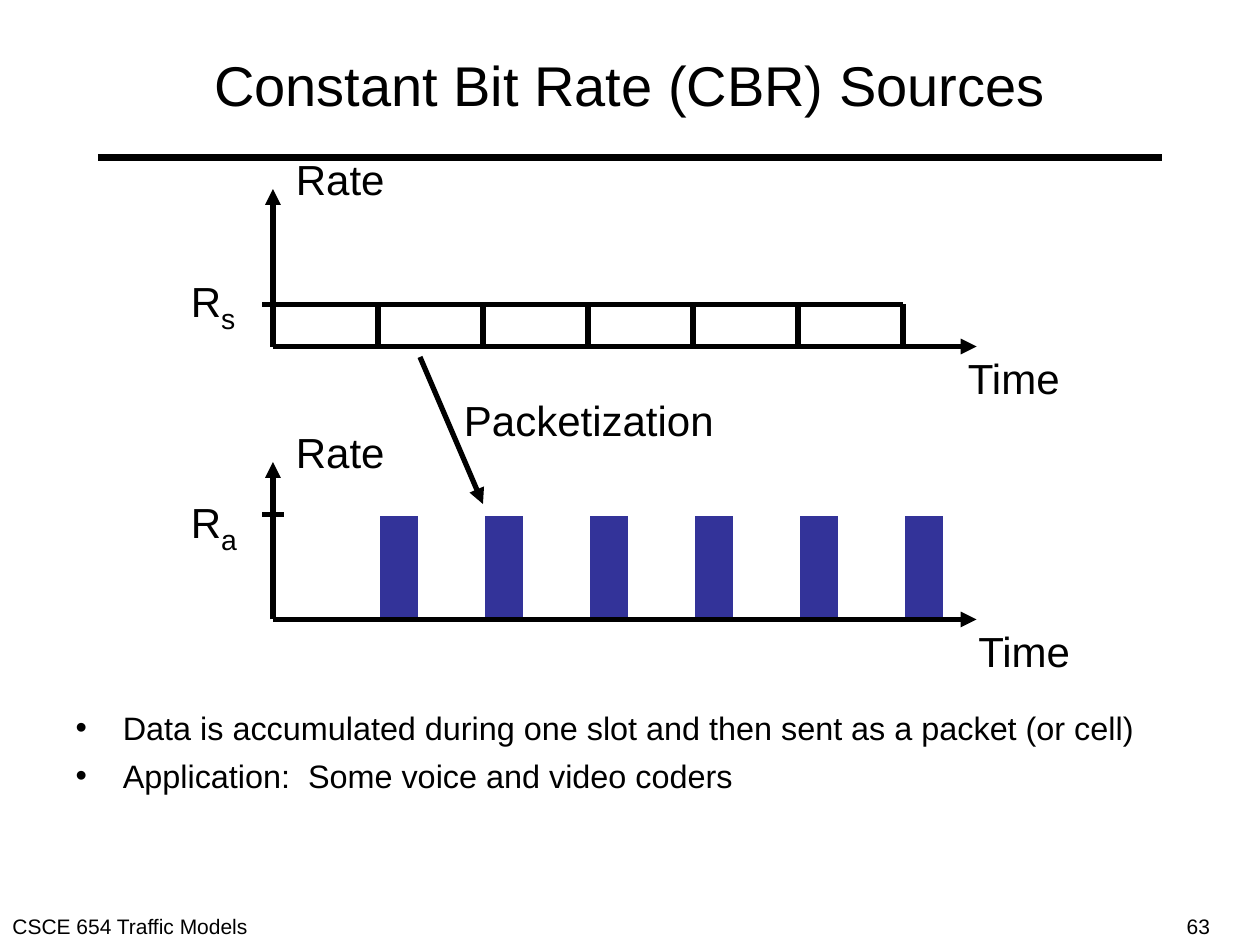
import pptx
import pptx.util
import pptx.dml.color
import pptx.enum.shapes
import pptx.enum.text
import pptx.oxml
import pptx.oxml.ns

Pt = pptx.util.Pt
ENUM = pptx.enum.text
BLACK = "000000"
WHITE = "FFFFFF"
BLUE = "333399"


def color(code):
    return pptx.dml.color.RGBColor.from_string(code)


def apply(item, values):
    for name, value in values.items():
        setattr(item, name, value)


def child(parent, tag, **values):
    node = pptx.oxml.parse_xml(f"<a:{tag} {pptx.oxml.ns.nsdecls('a')}/>")
    for name, value in values.items():
        node.set(name, value)
    parent.append(node)
    return node


class Deck:
    face = "Arial"
    ink = BLACK

    def __init__(self, wide, high):
        self.show = pptx.Presentation()
        apply(self.show, {"slide_width": Pt(wide), "slide_height": Pt(high)})
        self.slide = self.show.slides.add_slide(self.show.slide_layouts[1])
        self.shapes = self.slide.shapes

    def style(self, font, size):
        apply(font, {"name": self.face, "size": Pt(size)})
        font.color.rgb = color(self.ink)

    def place(self, shape, *box):
        names = ("left", "top", "width", "height")
        apply(shape, dict(zip(names, map(Pt, box))))

    def title(self, text, size, *box):
        shape = self.shapes.title
        self.place(shape, *box)
        frame = shape.text_frame
        apply(frame, {"text": text, "word_wrap": True,
                      "auto_size": ENUM.MSO_AUTO_SIZE.NONE,
                      "vertical_anchor": ENUM.MSO_ANCHOR.MIDDLE})
        line = frame.paragraphs[0]
        line.alignment = ENUM.PP_ALIGN.CENTER
        self.style(line.runs[0].font, size)

    def bullets(self, items, size, gap, *box):
        shape = self.slide.placeholders[1]
        self.place(shape, *box)
        frame = shape.text_frame
        apply(frame, {"text": "\n".join(items), "word_wrap": True,
                      "auto_size": ENUM.MSO_AUTO_SIZE.NONE})
        for index, line in enumerate(frame.paragraphs):
            line.space_before = Pt(gap if index else 0)
            props = line._p.get_or_add_pPr()
            props.set("marL", str(Pt(27)))
            props.set("indent", str(-Pt(27)))
            child(props, "buFont", typeface=self.face)
            child(props, "buChar", char="•")
            self.style(line.runs[0].font, size)

    def label(self, text, size, *box, sub=""):
        frame = self.shapes.add_textbox(*map(Pt, box)).text_frame
        frame.word_wrap = True
        line = frame.paragraphs[0]
        run = line.add_run()
        run.text = text
        self.style(run.font, size)
        if sub:
            low = line.add_run()
            low.text = sub
            self.style(low.font, 28)
            low.font._element.set("baseline", "-25000")

    def line(self, *ends, width=3, arrow=False):
        kind = pptx.enum.shapes.MSO_CONNECTOR.STRAIGHT
        item = self.shapes.add_connector(kind, *map(Pt, ends))
        item.line.width = Pt(width)
        item.line.color.rgb = color(self.ink)
        if arrow:
            child(item.line._get_or_add_ln(), "tailEnd", type="triangle")
        child(item._element.spPr, "effectLst")

    def bar(self, *box):
        kind = pptx.enum.shapes.MSO_SHAPE.RECTANGLE
        item = self.shapes.add_shape(kind, *map(Pt, box))
        item.shadow.inherit = False
        item.fill.solid()
        item.fill.fore_color.rgb = color(BLUE)
        item.line.color.rgb = color(WHITE)
        item.line.width = Pt(2.25)

    def save(self):
        self.show.save("out.pptx")


def main():
    deck = Deck(720, 540)
    deck.line(56, 90, 664, 90, width=4.5)
    deck.label("CSCE 654 Traffic Models", 12, 0, 518.5, 156, 21.5)
    deck.label("63", 12, 671, 518.5, 48, 21.5)

    left, right, step = 156, 558, 60
    slots = [left + step * n for n in range(1, 7)]

    deck.label("Rate", 24, 162, 84, 78, 36)
    deck.label("Time", 24, 546, 198, 72, 36)
    deck.label("R", 24, 102, 150, 54, 45, sub="s")
    deck.line(150, 174, slots[-1], 174)
    for x in slots:
        deck.line(x, 174, x, 198)
    deck.line(left, 198, left, 108, arrow=True)
    deck.line(left, 198, right, 198, arrow=True)

    deck.line(240, 204, 276, 288, arrow=True)
    deck.label("Packetization", 24, 258, 222, 168, 36)

    deck.label("Rate", 24, 162, 240, 72, 36)
    deck.label("Time", 24, 552, 354, 72, 36)
    deck.label("R", 24, 102, 276, 54, 45, sub="a")
    deck.line(left, 354, left, 264, arrow=True)
    for x in slots:
        deck.bar(x, 294, 24, 60)
    deck.line(150, 294, 162, 294)
    deck.line(left, 354, right, 354, arrow=True)

    deck.title("Constant Bit Rate (CBR) Sources", 32, 36, 12, 648, 72)
    deck.bullets([
        "Data is accumulated during one slot and then sent as a packet (or cell)",
        "Application:  Some voice and video coders",
    ], 18.5, 5, 36, 401, 648, 82)
    deck.save()


if __name__ == "__main__":
    main()
